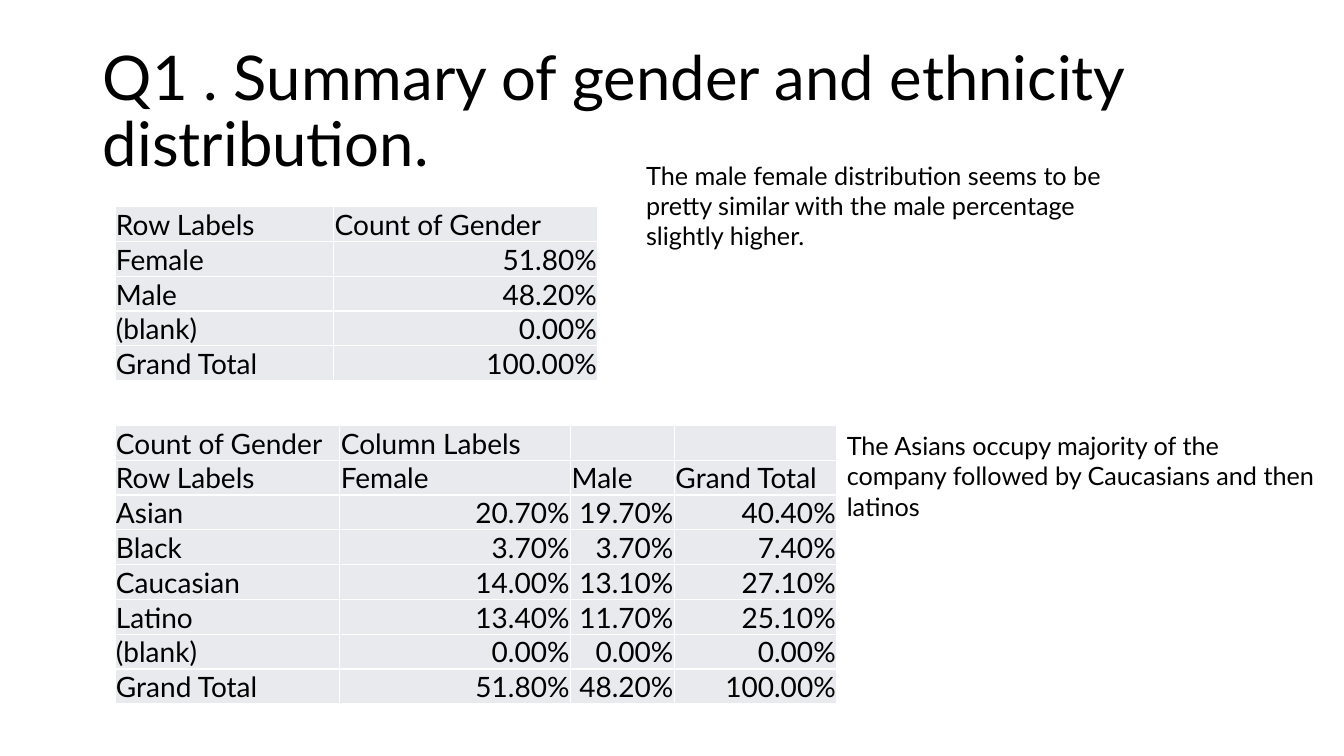
from lxml.etree import SubElement
from pptx import Presentation
from pptx.dml.color import RGBColor
from pptx.enum.text import MSO_ANCHOR, MSO_AUTO_SIZE, PP_ALIGN
from pptx.oxml.ns import qn
from pptx.util import Inches, Pt

BLACK = RGBColor(0x00, 0x00, 0x00)
WHITE = RGBColor(0xFF, 0xFF, 0xFF)
PALE_GREY = RGBColor(0xE8, 0xEA, 0xED)
FONT = "Lato"
ROW_HEIGHT = 0.34
TABLE_LEFT = 1.14

GENDER_ROWS = [
    ("Row Labels", "Count of Gender"),
    ("Female", "51.80%"),
    ("Male", "48.20%"),
    ("(blank)", "0.00%"),
    ("Grand Total", "100.00%"),
]
ETHNICITY_ROWS = [
    ("Count of Gender", "Column Labels", "", ""),
    ("Row Labels", "Female", "Male", "Grand Total"),
    ("Asian", "20.70%", "19.70%", "40.40%"),
    ("Black", "3.70%", "3.70%", "7.40%"),
    ("Caucasian", "14.00%", "13.10%", "27.10%"),
    ("Latino", "13.40%", "11.70%", "25.10%"),
    ("(blank)", "0.00%", "0.00%", "0.00%"),
    ("Grand Total", "51.80%", "48.20%", "100.00%"),
]


def write_text(frame, text, size=18, align=PP_ALIGN.LEFT, line_spacing=None):
    """Write one formatted paragraph into a text frame."""
    frame.word_wrap = True
    paragraph = frame.paragraphs[0]
    paragraph.alignment = align
    if line_spacing:
        paragraph.line_spacing = line_spacing
    if text:
        run = paragraph.add_run()
        run.text = text
        run.font.name = FONT
        run.font.size = Pt(size)
        run.font.color.rgb = BLACK


def add_heading(slide, left, top, width, height):
    """Fill the title placeholder with the question."""
    heading = slide.shapes.title
    heading.left, heading.top = Inches(left), Inches(top)
    heading.width, heading.height = Inches(width), Inches(height)
    frame = heading.text_frame
    frame.auto_size = MSO_AUTO_SIZE.NONE
    frame.vertical_anchor = MSO_ANCHOR.MIDDLE
    write_text(frame, "Q1 . Summary of gender and ethnicity distribution.",
               size=44, line_spacing=0.9)


def format_cell(cell, text):
    """Style one cell, with percentages set to the right."""
    cell.margin_left = cell.margin_right = cell.margin_top = Inches(0.01)
    cell.margin_bottom = 0
    cell.vertical_anchor = MSO_ANCHOR.BOTTOM
    align = PP_ALIGN.RIGHT if text.endswith("%") else PP_ALIGN.LEFT
    write_text(cell.text_frame, text, size=20, align=align)
    properties = cell._tc.get_or_add_tcPr()
    for side in ("a:lnL", "a:lnR", "a:lnT", "a:lnB"):
        border = SubElement(properties, qn(side), w=str(Pt(1)))
        border_fill = SubElement(border, qn("a:solidFill"))
        SubElement(border_fill, qn("a:srgbClr"), val=str(WHITE))
    cell.fill.solid()
    cell.fill.fore_color.rgb = PALE_GREY


def add_summary_table(slide, rows, left, top, column_widths):
    """Place a summary table of equal rows."""
    table = slide.shapes.add_table(
        len(rows), len(column_widths), Inches(left), Inches(top),
        Inches(sum(column_widths)), Inches(ROW_HEIGHT * len(rows))).table
    table.first_row = table.horz_banding = False
    for column, width in zip(table.columns, column_widths):
        column.width = Inches(width)
    for row_index, labels in enumerate(rows):
        for column_index, label in enumerate(labels):
            format_cell(table.cell(row_index, column_index), label)


def add_finding(slide, text, left, top, width, height):
    """Place a finding beside its table."""
    finding = slide.shapes.add_textbox(
        Inches(left), Inches(top), Inches(width), Inches(height))
    write_text(finding.text_frame, text)
    finding.text_frame.auto_size = MSO_AUTO_SIZE.SHAPE_TO_FIT_TEXT


def main():
    """Build and save the slide."""
    deck = Presentation()
    deck.slide_width, deck.slide_height = Inches(13.33), Inches(7.5)
    slide = deck.slides.add_slide(deck.slide_layouts[5])
    add_heading(slide, 0.92, 0.4, 11.5, 1.45)
    add_summary_table(slide, GENDER_ROWS, TABLE_LEFT, 2.05, (2.17, 2.62))
    add_summary_table(slide, ETHNICITY_ROWS, TABLE_LEFT, 4.22,
                      (2.23, 2.29, 1.03, 1.61))
    add_finding(slide, "The male female distribution seems to be pretty similar "
                "with the male percentage slightly higher.",
                6.31, 1.54, 4.89, 1.01)
    add_finding(slide, "The Asians occupy majority of the company followed by "
                "Caucasians and then latinos", 8.3, 4.22, 4.89, 1.01)
    deck.save("out.pptx")


if __name__ == "__main__":
    main()
